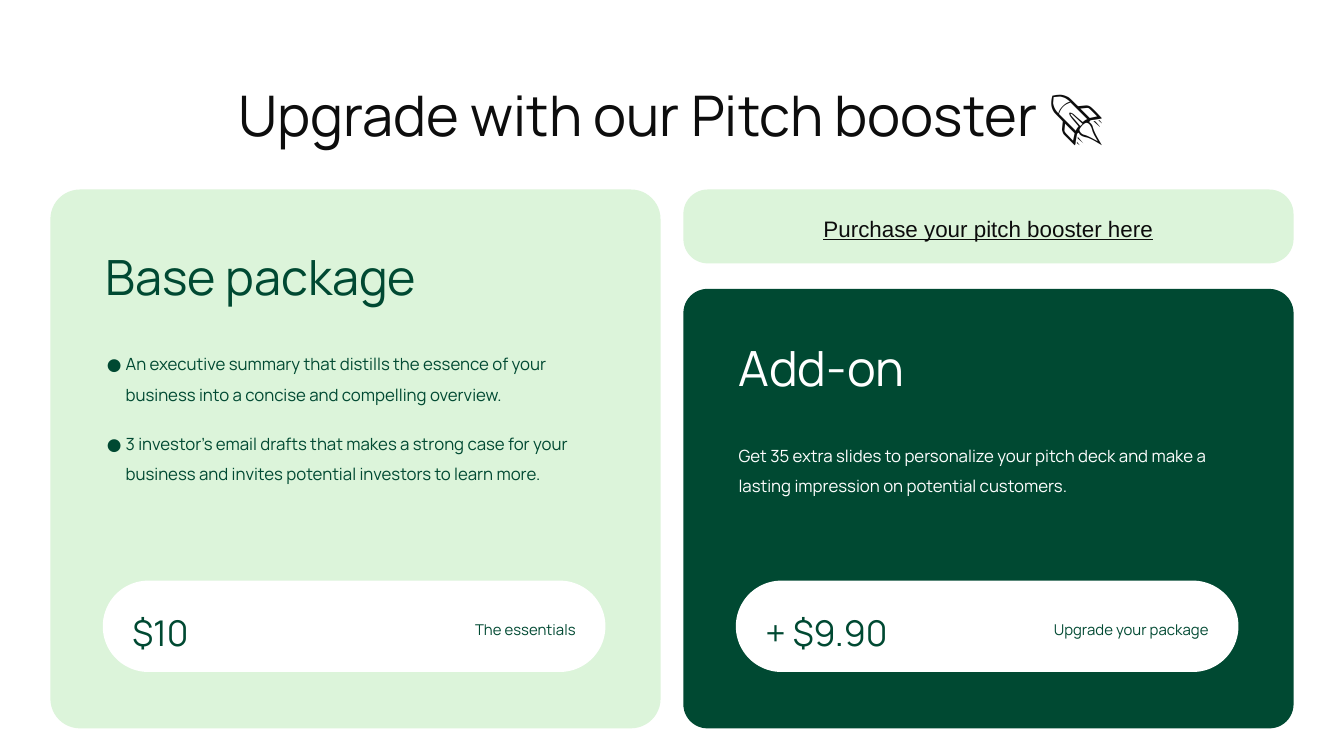
from dataclasses import dataclass

from lxml.etree import SubElement
from pptx import Presentation
from pptx.dml.color import RGBColor
from pptx.enum.shapes import MSO_SHAPE
from pptx.enum.text import MSO_ANCHOR, MSO_AUTO_SIZE, PP_ALIGN
from pptx.oxml.ns import qn
from pptx.util import Inches, Pt


@dataclass(frozen=True)
class Theme:
    """Colours, fonts and type sizes of the slide."""
    mint: str = "DCF4DA"
    green: str = "004932"
    white: str = "FFFFFF"
    ink: str = "0D0D0D"
    link: str = "0C0C0C"
    font: str = "Manrope"
    link_font: str = "Arial"
    title: int = 30
    heading: int = 26
    price: int = 19
    link_size: int = 12
    body: int = 9
    label: int = 8


T = Theme()
WIDTH = 10
HEIGHT = WIDTH * 9 / 16
MARGIN = WIDTH * 3 / 80
TOP, BOTTOM = 1.41, 5.42
CARD_W = 4.54
COLUMNS = [MARGIN, WIDTH - MARGIN - CARD_W]
PAD, INNER_W = 0.39, 3.74
PILL_TOP, PILL_H, PILL_PAD = 4.32, 0.68, 0.2
LABEL_W = 1.48


def add_panel(slide, x, y, w, h, fill, radius):
    """Add a plain rounded rectangle."""
    sp = slide.shapes.add_shape(MSO_SHAPE.ROUNDED_RECTANGLE,
                                Inches(x), Inches(y), Inches(w), Inches(h))
    sp.adjustments[0] = radius
    sp.shadow.inherit = False
    sp.fill.solid()
    sp.fill.fore_color.rgb = RGBColor.from_string(fill)
    sp.line.fill.background()
    return sp


def set_text(sp, text, size, color, spacing, align=PP_ALIGN.LEFT,
             anchor=MSO_ANCHOR.TOP, font=T.font, inset=0.02):
    """Fill a shape with text and format every run."""
    tf = sp.text_frame
    tf.word_wrap = True
    tf.vertical_anchor = anchor
    tf.margin_left = tf.margin_right = Inches(inset)
    tf.margin_top = tf.margin_bottom = Inches(inset)
    tf.text = text
    for p in tf.paragraphs:
        p.alignment = align
        p.line_spacing = spacing
        for r in p.runs:
            r.font.size = Pt(size)
            r.font.name = font
            r.font.color.rgb = RGBColor.from_string(color)
    return tf


def add_text(slide, x, y, w, h, text, size, color, spacing, **style):
    """Add a text box that grows with its text."""
    sp = slide.shapes.add_textbox(Inches(x), Inches(y), Inches(w), Inches(h))
    tf = set_text(sp, text, size, color, spacing, **style)
    tf.auto_size = MSO_AUTO_SIZE.SHAPE_TO_FIT_TEXT
    return tf


def add_bullets(tf, color):
    """Turn the paragraphs of a text frame into bullets."""
    for p in tf.paragraphs:
        p.space_before = Pt(10)
        pPr = p._p.get_or_add_pPr()
        pPr.set("marL", str(Inches(0.15)))
        pPr.set("indent", str(Inches(-0.14)))
        buClr = SubElement(pPr, qn("a:buClr"))
        SubElement(buClr, qn("a:srgbClr"), val=color)
        SubElement(pPr, qn("a:buFont"), typeface=T.font)
        SubElement(pPr, qn("a:buChar"), char="●")


def add_price(slide, x, price, label):
    """Add the white pill with a price and its label."""
    add_panel(slide, x, PILL_TOP, INNER_W, PILL_H, T.white, 0.5)
    add_text(slide, x + PILL_PAD, 4.48, LABEL_W, 0.36, price, T.price,
             T.green, 1.3, anchor=MSO_ANCHOR.MIDDLE)
    add_text(slide, x + INNER_W - PILL_PAD - LABEL_W, 4.57, LABEL_W, 0.18,
             label, T.label, T.green, 1.4, align=PP_ALIGN.RIGHT,
             anchor=MSO_ANCHOR.MIDDLE)


def add_package(slide, x, y, fill, color, heading, heading_y, body, body_y,
                body_h, price, label):
    """Add a package card and return its body text frame."""
    inner = x + PAD
    add_panel(slide, x, y, CARD_W, BOTTOM - y, fill, 0.055)
    add_text(slide, inner, heading_y, INNER_W, 0.48, heading, T.heading,
             color, 1.2)
    tf = add_text(slide, inner, body_y, INNER_W, body_h, body, T.body,
                  color, 1.5)
    add_price(slide, inner, price, label)
    return tf


def add_link(slide, x, y, h, text):
    """Add the underlined call to action."""
    sp = add_panel(slide, x, y, CARD_W, h, T.mint, 0.33)
    tf = set_text(sp, text, T.link_size, T.link, 1.15, align=PP_ALIGN.CENTER,
                  anchor=MSO_ANCHOR.MIDDLE, font=T.link_font, inset=0.04)
    tf.paragraphs[0].runs[0].font.underline = True


def main():
    """Build the slide and save it."""
    prs = Presentation()
    prs.slide_width, prs.slide_height = Inches(WIDTH), Inches(HEIGHT)
    slide = prs.slides.add_slide(prs.slide_layouts[6])
    left, right = COLUMNS
    add_text(slide, 1.09, 0.48, 7.81, 0.55, "Upgrade with our Pitch booster 🚀",
             T.title, T.ink, 1.2, align=PP_ALIGN.CENTER)
    benefits = "\n".join([
        "An executive summary that distills the essence of your business "
        "into a concise and compelling overview.",
        "3 investor's email drafts that makes a strong case for your "
        "business and invites potential investors to learn more."])
    tf = add_package(slide, left, TOP, T.mint, T.green, "Base package", 1.73,
                     benefits, 2.54, 1.24, "$10", "The essentials")
    add_bullets(tf, T.green)
    add_package(slide, right, 2.15, T.green, T.white, "Add-on", 2.41,
                "Get 35 extra slides to personalize your pitch deck and make "
                "a lasting impression on potential customers.", 3.22, 0.42,
                "+ $9.90", "Upgrade your package")
    add_link(slide, right, TOP, 0.55, "Purchase your pitch booster here")
    prs.save("out.pptx")


if __name__ == "__main__":
    main()
